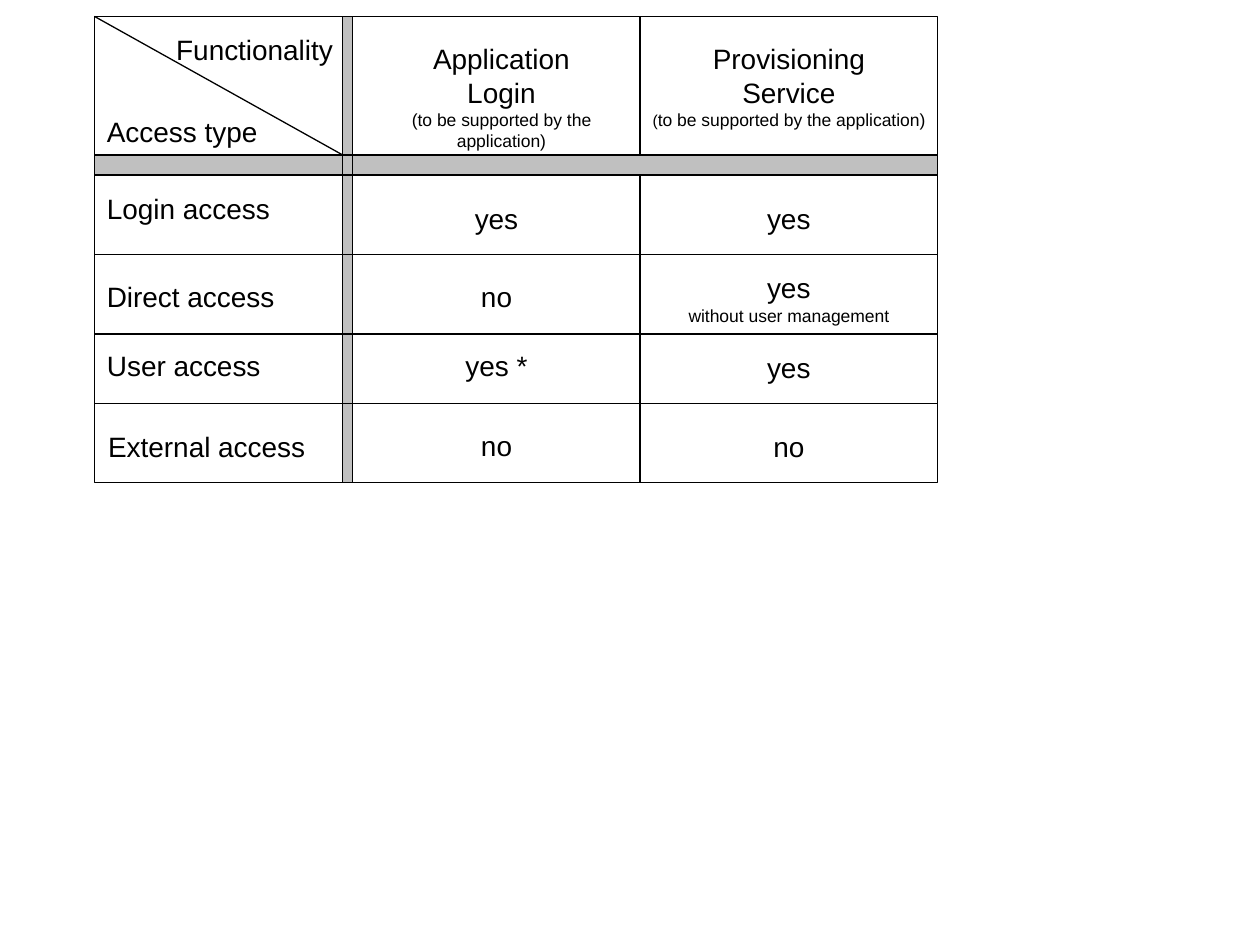
from lxml import etree
from pptx import Presentation
from pptx.dml.color import RGBColor
from pptx.enum.shapes import MSO_CONNECTOR, MSO_SHAPE
from pptx.enum.text import MSO_AUTO_SIZE, PP_ALIGN
from pptx.oxml.ns import qn
from pptx.util import Pt

COLORS = {"ink": "000000", "bar": "C0C0C0"}
LEFT, BAR_X, COL_2, COL_3, RIGHT = 54, 195.9, 201.6, 365.8, 535.7
TOP, BAR_Y, BODY_TOP = 9.4, 88.6, 100.1
TALL, SHORT = 45.4, 39.6
LINE_H = 26.6
BREAK = "\n"

HEADERS = [
    (COL_2, COL_3 - COL_2, (COL_2, 169.9, 69.8),
     [[("Application", 16)], [("Login", 16)],
      [("(to be supported by the application)", 10)]]),
    (COL_3, RIGHT - COL_3, (COL_3 - 1.5, 173, 57.6),
     [[("Provisioning", 16)], [("Service", 16)],
      [("(", 9), ("to be supported by the application)", 10)]]),
]
ROWS = [
    (TALL, ("Login access", 0, 5.8, 111), ("yes", 11.5), ("yes", 11.5)),
    (TALL, ("Direct access", 0, 10.8, 114), ("no", 10.8), ("yes", 5.8)),
    (SHORT, ("User access", 0, 5, 107), ("yes *", 5), ("yes", 5.8)),
    (TALL, ("External access", 0.7, 11.5, 130), ("no", 10.8), ("no", 11.5)),
]
NOTES = {("Direct access", COL_3): "without user management"}


def add_rect(s, box, fill=None):
    sp = s.shapes.add_shape(MSO_SHAPE.RECTANGLE, *map(Pt, box))
    sp.shadow.inherit = False
    if fill:
        sp.fill.solid()
        sp.fill.fore_color.rgb = RGBColor.from_string(COLORS[fill])
    else:
        sp.fill.background()
    sp.line.color.rgb = RGBColor.from_string(COLORS["ink"])
    sp.line.width = Pt(0.75)


def add_text(s, box, paragraphs, align=PP_ALIGN.CENTER):
    tf = s.shapes.add_textbox(*map(Pt, box)).text_frame
    frame_format = {"word_wrap": True, "auto_size": MSO_AUTO_SIZE.SHAPE_TO_FIT_TEXT}
    for name, value in frame_format.items():
        setattr(tf, name, value)
    for i, runs in enumerate(paragraphs):
        p = tf.add_paragraph() if i else tf.paragraphs[0]
        p.alignment = align
        for text, size in runs:
            if text == BREAK:
                p.add_line_break()
                continue
            r = p.add_run()
            r.text = text
            for name, value in {"name": "Arial", "size": Pt(size)}.items():
                setattr(r.font, name, value)
            r.font.color.rgb = RGBColor.from_string(COLORS["ink"])


def add_label(s, x, y, w, text):
    add_text(s, (x, y, w, LINE_H), [[(text, 16)]], PP_ALIGN.LEFT)


def add_headers(s, y, h):
    for x, w, (text_x, text_w, text_h), paragraphs in HEADERS:
        add_rect(s, (x, y, w, h))
        add_text(s, (text_x, y + 10.8, text_w, text_h), paragraphs)


def add_bars(s, x, y, w, h):
    add_rect(s, (x, BAR_Y, w, BODY_TOP - BAR_Y), "bar")
    add_rect(s, (BAR_X, y, COL_2 - BAR_X, h), "bar")


def add_corner(s, x, y, w, h):
    add_rect(s, (x, y, w, h))
    line = s.shapes.add_connector(
        MSO_CONNECTOR.STRAIGHT, Pt(x), Pt(y), Pt(BAR_X), Pt(y + h))
    line.line.color.rgb = RGBColor.from_string(COLORS["ink"])
    line.line.width = Pt(0.75)
    etree.SubElement(line._element.spPr, qn("a:effectLst"))
    add_label(s, x, y + 52.6, 104, "Access type")
    add_label(s, x + 39.6, y + 5.8, 107, "Functionality")


def add_row(s, y, h, label, *answers):
    name, dx, dy, label_w = label
    add_rect(s, (LEFT, y, COL_2 - LEFT, h))
    add_label(s, LEFT + dx, y + dy, label_w, name)
    for (text, dy), x, right in zip(answers, (COL_2, COL_3), (COL_3, RIGHT)):
        add_rect(s, (x, y, right - x, h))
        runs, text_h = [(text, 16)], LINE_H
        note = NOTES.get((name, x))
        if note:
            runs += [(BREAK, 16), (note, 10)]
            text_h = 38.9
        add_text(s, (x, y + dy, right - x, text_h), [runs])


def main():
    prs = Presentation()
    prs.slide_width, prs.slide_height = Pt(720), Pt(540)
    s = prs.slides.add_slide(prs.slide_layouts[6])
    body_h = sum(row[0] for row in ROWS)
    add_headers(s, TOP, 85)
    add_bars(s, LEFT, TOP, RIGHT - LEFT, BODY_TOP + body_h - TOP)
    add_corner(s, LEFT, TOP, COL_2 - LEFT, BAR_Y - TOP)
    y = BODY_TOP
    for h, *cells in ROWS:
        add_row(s, y, h, *cells)
        y += h
    prs.save("out.pptx")


if __name__ == "__main__":
    main()
